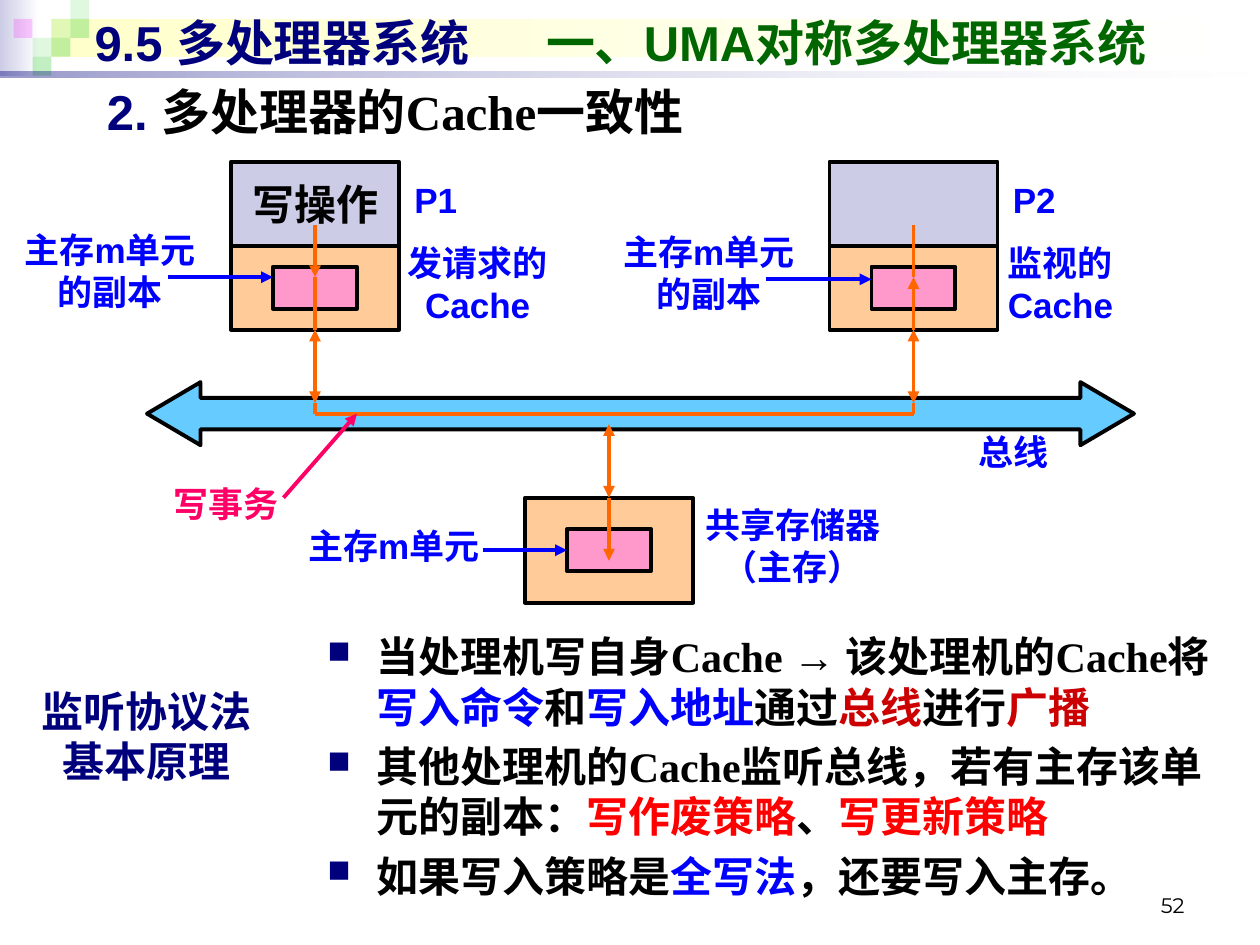
from lxml.etree import SubElement
from pptx import Presentation
from pptx.dml.color import RGBColor
from pptx.enum.shapes import MSO_CONNECTOR, MSO_SHAPE
from pptx.enum.text import MSO_ANCHOR, MSO_AUTO_SIZE, PP_ALIGN
from pptx.oxml.ns import qn
from pptx.util import Pt

PX = 7620  # EMU per px, 120 px to the inch
COLORS = {
    "navy": "00007D", "black": "000000", "white": "FFFFFF", "blue": "0000FF",
    "dark_green": "006600", "dark_red": "CC0000", "red": "FF0000", "rose": "FF0066",
    "lavender": "CCCCE6", "peach": "FFCC99", "pink": "FF99CC", "sky": "66CCFF",
    "orange": "FF6600", "cream": "FFFFCC", "green": "33CC33", "magenta": "FF00FF",
}


def rgb(name):
    return RGBColor.from_string(COLORS[name])


def emu(*lengths):
    return [length * PX for length in lengths]


def set_alpha(shape, *percents):
    for color, percent in zip(shape._element.spPr.iter(qn("a:srgbClr")), percents):
        SubElement(color, qn("a:alpha")).set("val", str(percent * 1000))


def add_block(slide, box, color, outlined=True, kind=MSO_SHAPE.RECTANGLE):
    block = slide.shapes.add_shape(kind, *emu(*box))
    block.shadow.inherit = False
    block.fill.solid()
    block.fill.fore_color.rgb = rgb(color)
    if outlined:
        block.line.color.rgb = rgb("black")
        block.line.width = Pt(2.25)
    else:
        block.line.fill.background()
    return block


def add_fade(slide, box, start, end="white"):
    band = add_block(slide, box, start, outlined=False)
    band.fill.gradient()
    band.fill.gradient_angle = 0
    for stop, color in zip(band.fill.gradient_stops, (start, end)):
        stop.color.rgb = rgb(color)
    return band


def add_line(slide, start, end, color="orange", head=False, tail=False):
    line = slide.shapes.add_connector(MSO_CONNECTOR.STRAIGHT, *emu(*start, *end))
    line.line.color.rgb = rgb(color)
    line.line.width = Pt(2.25)
    for wanted, tag in ((head, "a:headEnd"), (tail, "a:tailEnd")):
        if wanted:
            SubElement(line.line._get_or_add_ln(), qn(tag)).set("type", "triangle")
    SubElement(line._element.spPr, qn("a:effectLst"))


def write_runs(paragraph, pieces, size, font="Arial", bold=True):
    """Write (text, colour) pieces into one paragraph."""
    for text, color in pieces:
        run = paragraph.add_run()
        run.text = text
        run.font.name, run.font.size, run.font.bold = font, Pt(size), bold
        run.font.color.rgb = rgb(color)


def add_text_frame(slide, box):
    frame = slide.shapes.add_textbox(*emu(*box)).text_frame
    frame.word_wrap = True
    return frame


def add_label(slide, box, text, color="blue", size=20):
    frame = add_text_frame(slide, box)
    frame.auto_size = MSO_AUTO_SIZE.SHAPE_TO_FIT_TEXT
    frame.paragraphs[0].alignment = PP_ALIGN.CENTER
    write_runs(frame.paragraphs[0], [(text, color)], size)


def add_header_band(slide, left, top):
    add_fade(slide, (left, top, 37, 72), "lavender")
    add_fade(slide, (left + 49, top + 18, 1146, 36), "cream")
    # Mosaic of translucent squares: column, row, colour, opacity
    for column, row, color, opacity in (
            (2, 1, "green", 15), (3, 0, "green", 15), (3, 1, "green", 30),
            (1, 2, "green", 15), (0, 1, "magenta", 20), (2, 2, "green", 30),
            (1, 3, "green", 30)):
        square = (left + 13 + 18 * column, top + 18 * row, 18, 18)
        set_alpha(add_block(slide, square, color, outlined=False), opacity)
    set_alpha(add_fade(slide, (left, top + 68, 1200, 6), "navy"), 40, 10)


def add_headings(slide):
    title = slide.shapes.title
    slide.shapes._spTree.append(title._element)  # in front of the band
    title.left, title.top, title.width, title.height = emu(78, 6, 1080, 68)
    frame = title.text_frame
    frame.auto_size = MSO_AUTO_SIZE.NONE
    frame.vertical_anchor = MSO_ANCHOR.MIDDLE
    heading = frame.paragraphs[0]
    heading.alignment = PP_ALIGN.LEFT
    tabs = SubElement(heading._p.get_or_add_pPr(), qn("a:tabLst"))
    tab = SubElement(tabs, qn("a:tab"))
    tab.set("pos", str(430 * PX))
    tab.set("algn", "l")
    write_runs(heading, [("9.5 多处理器系统\t", "navy"),
                         ("一、UMA对称多处理器系统", "dark_green")], 28)

    subheading = add_text_frame(slide, (90, 72, 1068, 76)).paragraphs[0]
    write_runs(subheading, [("2. ", "navy")], 28)
    write_runs(subheading, [("多处理器的Cache一致性", "black")], 28, "Times New Roman")


def add_processor(slide, left, top, name, cache_box, cache_name, writes):
    """Processor over its cache; cache_box is relative to the processor."""
    processor = add_block(slide, (left, top, 160, 80), "lavender")
    add_block(slide, (left, top + 80, 160, 80), "peach")
    add_block(slide, (left + 40, top + 100, 80, 40), "pink")
    if writes:
        frame = processor.text_frame
        frame.word_wrap = False
        frame.vertical_anchor = MSO_ANCHOR.MIDDLE
        frame.paragraphs[0].alignment = PP_ALIGN.CENTER
        write_runs(frame.paragraphs[0], [("写操作", "black")], 24)

    # Path from the processor through the copy down to the bus
    middle = left + 80
    core, copy_cell, edge, bus, bus_axis = (top + y for y in (60, 110, 160, 230, 240))
    add_line(slide, (middle, core), (middle, copy_cell), tail=writes)
    add_line(slide, (middle, copy_cell), (middle, edge), head=not writes)
    add_line(slide, (middle, edge), (middle, bus), head=True, tail=True)
    add_line(slide, (middle, bus), (middle, bus_axis))

    add_label(slide, (left + 160, top + 10, 70, 52), name)
    x, y, width, height = cache_box
    add_label(slide, (left + x, top + y, width, height), cache_name)
    shift = 0 if writes else 2
    add_line(slide, (left - 60, top + 110 + shift), (left + 40, top + 110 + shift),
             "blue", tail=True)
    add_label(slide, (left - 210, top + 58 + shift, 190, 92), "主存m单元的副本")


def add_bus(slide, left, top):
    bus = add_block(slide, (left, top, 940, 60), "sky", kind=MSO_SHAPE.LEFT_RIGHT_ARROW)
    bus.adjustments[0], bus.adjustments[1] = 0.5, 0.85
    add_label(slide, (left + 770, top + 40, 110, 52), "总线")


def add_write_transaction(slide, left, top):
    add_line(slide, (left, top), (left + 570, top))
    add_line(slide, (left - 30, top + 80), (left + 40, top), "rose", tail=True)
    add_label(slide, (left - 150, top + 60, 130, 52), "写事务", "rose")


def add_memory(slide, left, top):
    add_block(slide, (left, top, 160, 100), "peach")
    add_block(slide, (left + 40, top + 30, 80, 40), "pink")
    middle = left + 80
    add_line(slide, (middle, top - 70), (middle, top), head=True, tail=True)
    add_line(slide, (middle, top), (middle, top + 60), tail=True)
    add_line(slide, (left - 40, top + 50), (left + 40, top + 50), "blue", tail=True)
    add_label(slide, (left - 220, top + 20, 190, 52), "主存m单元")
    add_label(slide, (left + 150, top, 210, 92), "共享存储器（主存）")


def add_principles(slide, left, top):
    add_label(slide, (left, top + 52, 240, 108), "监听协议法基本原理", "navy", 24)
    principles = (
        [("当处理机写自身Cache → 该处理机的Cache将", "black"), ("写入命令", "blue"),
         ("和", "black"), ("写入地址", "blue"), ("通过", "black"),
         ("总线", "dark_red"), ("进行", "black"), ("广播", "dark_red")],
        [("其他处理机的Cache监听总线，若有主存该单元的副本：", "black"),
         ("写作废策略", "red"), ("、", "black"), ("写更新策略", "red")],
        [("如果写入策略是", "black"), ("全写法", "blue"), ("，还要写入主存。", "black")],
    )
    frame = add_text_frame(slide, (left + 280, top, 880, 280))
    for index, pieces in enumerate(principles):
        paragraph = frame.add_paragraph() if index else frame.paragraphs[0]
        paragraph.space_before = Pt(5)
        properties = paragraph._p.get_or_add_pPr()
        properties.set("marL", str(47 * PX))
        properties.set("indent", str(-47 * PX))
        bullet_color = SubElement(properties, qn("a:buClr"))
        SubElement(bullet_color, qn("a:srgbClr")).set("val", COLORS["navy"])
        SubElement(properties, qn("a:buSzPct")).set("val", "75000")
        SubElement(properties, qn("a:buChar")).set("char", "■")
        write_runs(paragraph, pieces, 24, "Times New Roman")


def add_page_number(slide, box):
    frame = add_text_frame(slide, box)
    frame.vertical_anchor = MSO_ANCHOR.BOTTOM
    frame.paragraphs[0].alignment = PP_ALIGN.RIGHT
    write_runs(frame.paragraphs[0], [("52", "black")], 12, "Montserrat", bold=False)


def main():
    deck = Presentation()
    deck.slide_width, deck.slide_height = emu(1200, 900)
    slide = deck.slides.add_slide(deck.slide_layouts[5])
    add_header_band(slide, 0, 0)
    add_headings(slide)
    add_bus(slide, 140, 364)
    add_processor(slide, 220, 154, "P1", (150, 70, 170, 92), "发请求的Cache", True)
    add_processor(slide, 790, 154, "P2", (150, 70, 140, 92), "监视的Cache", False)
    add_write_transaction(slide, 300, 394)
    add_memory(slide, 500, 474)
    add_principles(slide, 20, 595)
    add_page_number(slide, (860, 820, 280, 60))
    deck.save("out.pptx")


if __name__ == "__main__":
    main()
